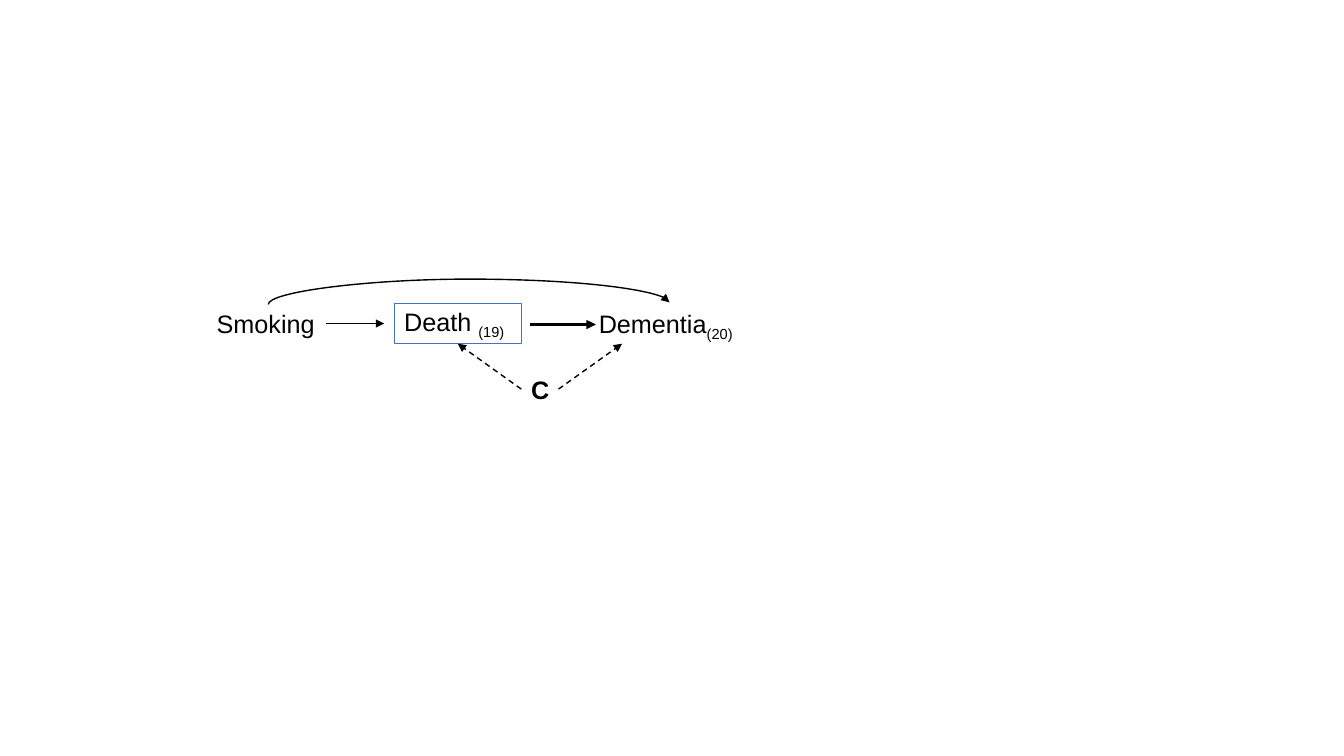
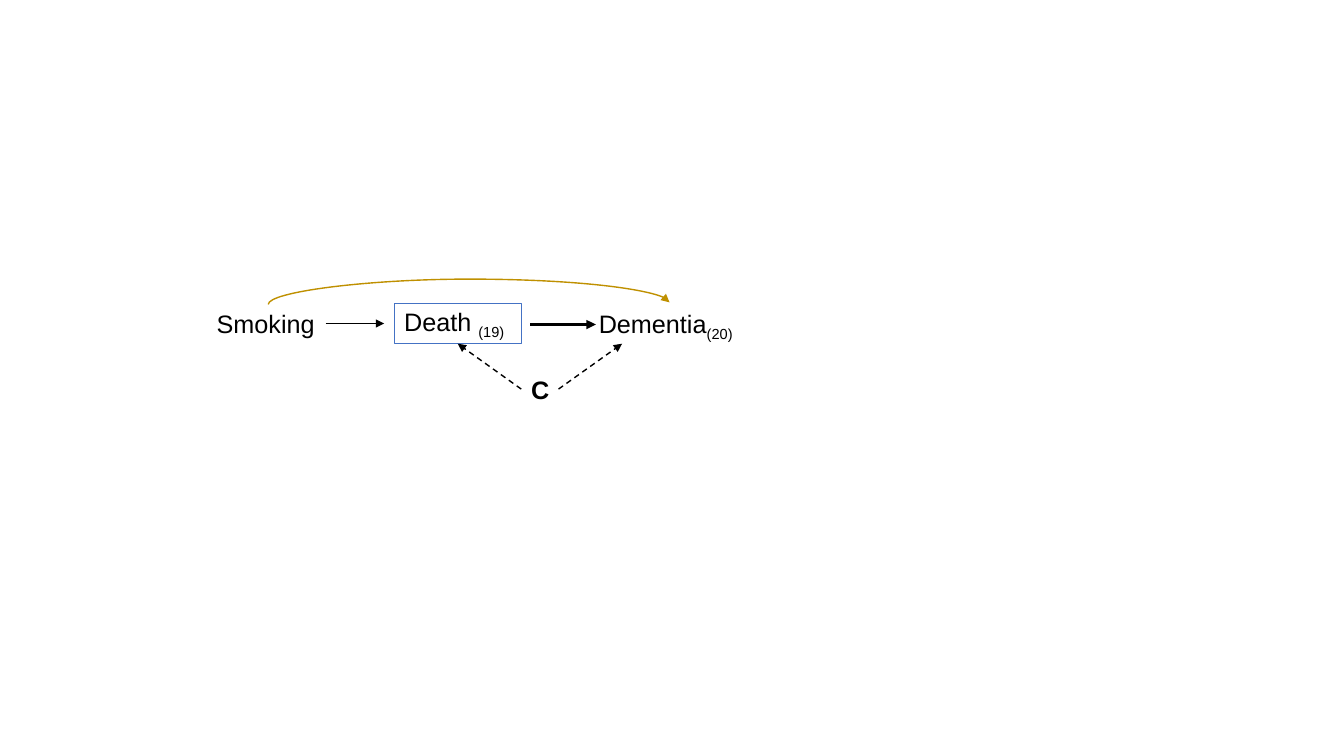
from lxml.etree import SubElement
from pptx import Presentation
from pptx.dml.color import RGBColor
from pptx.enum.dml import MSO_LINE
from pptx.enum.shapes import MSO_CONNECTOR, MSO_SHAPE
from pptx.enum.text import PP_ALIGN
from pptx.oxml.ns import qn
from pptx.util import Pt

PX = 9144
FONT = "Arial"
BLACK = RGBColor(0x00, 0x00, 0x00)
BLUE = RGBColor(0x44, 0x72, 0xC4)
GOLD = RGBColor(0xBF, 0x90, 0x00)
BOTTOM, LEFT, RIGHT = 0 + 2, 1, 3
ROW = 301
HIGH = 40


def px(*nums):
    return [n * PX for n in nums]


def write(shape, word, sub="", bold=False, wrap=False):
    frame = shape.text_frame
    frame.word_wrap = wrap
    para = frame.paragraphs[0]
    para.alignment = PP_ALIGN.LEFT
    para.font.name = FONT
    para.font.size = Pt(18)
    para.font.bold = bold
    para.font.color.rgb = BLACK
    para.add_run().text = word
    if sub:
        run = para.add_run()
        run.text = sub
        run.font._element.set("baseline", "-25000")


def label(slide, left, top, width, word, **style):
    box = slide.shapes.add_textbox(*px(left, top, width, HIGH))
    write(box, word, **style)
    return box


def frame(slide, left, top, width, word, sub):
    box = slide.shapes.add_shape(MSO_SHAPE.RECTANGLE, *px(left, top, width, HIGH))
    box.shadow.inherit = False
    box.fill.background()
    box.line.color.rgb = BLUE
    box.line.width = Pt(0.75)
    write(box, word, sub, wrap=True)
    return box


def arrow(slide, start, end, color=BLACK, width=1, dash=None,
          kind=MSO_CONNECTOR.STRAIGHT):
    link = slide.shapes.add_connector(kind, *px(*start, *end))
    link.line.color.rgb = color
    link.line.width = Pt(width)
    if dash:
        link.line.dash_style = dash
    props = link._element.spPr
    SubElement(props.find(qn("a:ln")), qn("a:tailEnd"), type="triangle")
    SubElement(props, qn("a:effectLst"))
    return link


def arc(slide, start, end, rise, color):
    mid_x, mid_y = (start[0] + end[0]) // 2, (start[1] + end[1]) // 2
    span, drop = end[0] - start[0], start[1] - end[1]
    link = arrow(slide, (mid_x + drop // 2, mid_y + span // 2),
                 (mid_x - drop // 2, mid_y - span // 2), color,
                 kind=MSO_CONNECTOR.CURVE)
    props = link._element.spPr
    props.find(qn("a:xfrm")).set("rot", str(90 * 60000))
    bend = props.find(qn("a:prstGeom")).find(qn("a:avLst"))
    SubElement(bend, qn("a:gd"), name="adj1", fmla=f"val {rise * 100000 // drop}")


def graph(slide, color):
    smoke = label(slide, 205, ROW, 118, "Smoking")
    death = frame(slide, 391, ROW, 126, "Death ", "(19)")
    label(slide, 584, ROW, 158, "Dementia", sub="(20)")
    cause = label(slide, 517, 366, 37, "C", bold=True, wrap=True)

    arrow(slide, (323, 321), (381, 321)).begin_connect(smoke, RIGHT)
    arrow(slide, (526, 322), (591, 322), width=2.25)
    back = arrow(slide, (517, 386), (454, 341), dash=MSO_LINE.DASH)
    back.begin_connect(cause, LEFT)
    back.end_connect(death, BOTTOM)
    arc(slide, (266, 302), (664, 300), 25, color)
    ahead = arrow(slide, (554, 386), (617, 341), dash=MSO_LINE.DASH)
    ahead.begin_connect(cause, RIGHT)


def main():
    deck = Presentation()
    deck.slide_width, deck.slide_height = px(1333, 750)
    for color in (BLACK, GOLD):
        graph(deck.slides.add_slide(deck.slide_layouts[6]), color)
    deck.save("out.pptx")


if __name__ == "__main__":
    main()
